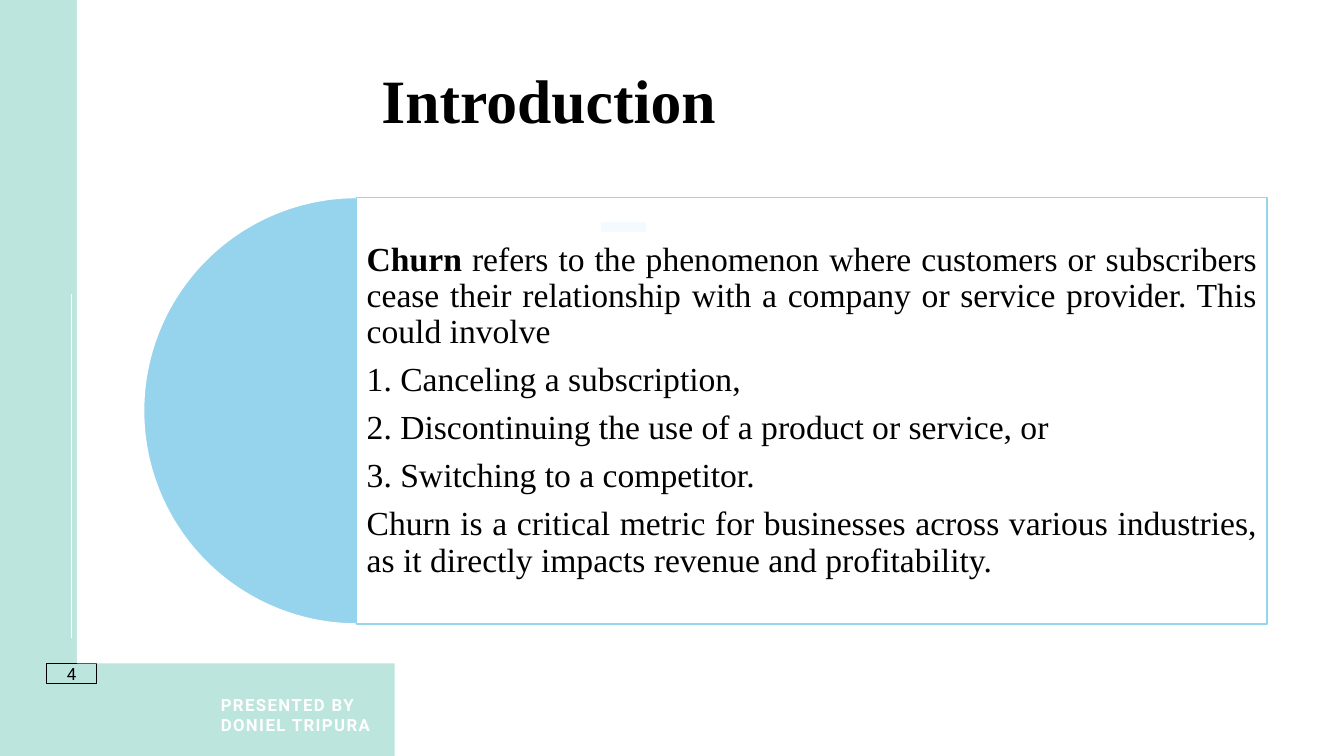
from lxml import etree
from pptx import Presentation
from pptx.dml.color import RGBColor
from pptx.enum.shapes import MSO_CONNECTOR, MSO_SHAPE
from pptx.enum.text import MSO_ANCHOR, MSO_AUTO_SIZE, PP_ALIGN
from pptx.oxml.ns import qn
from pptx.util import Pt

RECTANGLE, PIE = MSO_SHAPE.RECTANGLE, MSO_SHAPE.PIE
STRAIGHT = MSO_CONNECTOR.STRAIGHT
LEFT, CENTER, JUSTIFY = PP_ALIGN.LEFT, PP_ALIGN.CENTER, PP_ALIGN.JUSTIFY
TOP, MIDDLE = MSO_ANCHOR.TOP, MSO_ANCHOR.MIDDLE
NO_AUTOFIT = MSO_AUTO_SIZE.NONE

MINT = RGBColor(0xBC, 0xE5, 0xDD)
SKY = RGBColor(0x96, 0xD3, 0xED)
WHITE = RGBColor(0xFF, 0xFF, 0xFF)
BLACK = RGBColor(0x00, 0x00, 0x00)

SERIF, SANS = "Times New Roman", "Roboto"
TITLE_ONLY = 5

PANEL_LEFT, PANEL_TOP, PANEL_WIDTH, PANEL_HEIGHT = 254.9, 141.1, 650.2, 304.6

# Each paragraph is a list of (text, bold) spans.
CHURN_TEXT = [
    [("Churn", True),
     (" refers to the phenomenon where customers or subscribers cease their "
      "relationship with a company or service provider. This could involve ", False)],
    [("1. Canceling a subscription,", False)],
    [("2. Discontinuing the use of a product or service, or ", False)],
    [("3. Switching to a competitor.", False)],
    [("Churn is a critical metric for businesses across various industries, "
      "as it directly impacts revenue and profitability.", False)],
]


class SlideBuilder:
    def __init__(self, page):
        self.page = page
        page.background.fill.solid()
        page.background.fill.fore_color.rgb = MINT

    def shape(self, kind, left, top, width, height, fill=None, line=None, weight=1):
        shape = self.page.shapes.add_shape(kind, Pt(left), Pt(top), Pt(width), Pt(height))
        shape.shadow.inherit = False
        if fill is None:
            shape.fill.background()
        else:
            shape.fill.solid()
            shape.fill.fore_color.rgb = fill
        if line is None:
            shape.line.fill.background()
        else:
            shape.line.color.rgb = line
            shape.line.width = Pt(weight)
        return shape

    def rule(self, start, end, color, weight):
        rule = self.page.shapes.add_connector(STRAIGHT, *map(Pt, start + end))
        rule.line.color.rgb = color
        rule.line.width = Pt(weight)
        etree.SubElement(rule.element.spPr, qn("a:effectLst"))

    def text_box(self, left, top, width, height):
        return self.page.shapes.add_textbox(Pt(left), Pt(top), Pt(width), Pt(height))

    def set_text(self, box, paragraphs, font, size, color, align=LEFT, anchor=MIDDLE,
                 inset=0, tracking=0, line_spacing=None, space_after=0):
        """Fill a box with paragraphs of (text, bold) spans; tracking is in points."""
        frame = box.text_frame
        frame.word_wrap = True
        frame.auto_size = NO_AUTOFIT
        frame.vertical_anchor = anchor
        frame.margin_left = frame.margin_right = Pt(inset)
        frame.margin_top = frame.margin_bottom = Pt(inset)
        for index, spans in enumerate(paragraphs):
            para = frame.add_paragraph() if index else frame.paragraphs[0]
            para.alignment = align
            para.line_spacing = line_spacing
            para.space_after = Pt(space_after)
            para.font.name, para.font.size = font, Pt(size)
            para.font.color.rgb = color
            for text, bold in spans:
                span = para.add_run()
                span.text = text
                span.font.bold = bold
                if tracking:
                    span._r.get_or_add_rPr().set("spc", str(tracking * 100))

    def title(self, text, left, top, width, height):
        title = self.page.shapes.title
        title.left, title.top, title.width, title.height = map(Pt, (left, top, width, height))
        self.set_text(title, [[(text, True)]], SERIF, 44, BLACK, CENTER, TOP, inset=3.6)
        title.element.getparent().append(title.element)  # bring to front


def set_opacity(shape, percent):
    color = shape.element.spPr.find(qn("a:solidFill"))[0]
    etree.SubElement(color, qn("a:alpha")).set("val", str(percent * 1000))


def main():
    deck = Presentation()
    deck.slide_width, deck.slide_height = Pt(960), Pt(540)
    slide = SlideBuilder(deck.slides.add_slide(deck.slide_layouts[TITLE_ONLY]))

    slide.shape(RECTANGLE, 281.8, 0, 678.2, 540, fill=WHITE)
    slide.rule((51.1, 210.2), (51.1, 455.8), WHITE, 1)
    slide.rule((429, 162), (461.5, 162), SKY, 7)

    number = slide.shape(RECTANGLE, 33.1, 473.8, 36, 14.4, line=BLACK, weight=0.75)
    slide.set_text(number, [[("4", False)]], SANS, 12, BLACK, CENTER, tracking=2)
    presenter = slide.text_box(157.7, 503.3, 140.4, 15.1)
    slide.set_text(presenter, [[("PRESENTED BY DONIEL TRIPURA", True)]],
                   SANS, 12, WHITE, tracking=1)

    slide.shape(RECTANGLE, 55, 0, 258.5, 473.8, fill=WHITE)
    half_disc = slide.shape(PIE, PANEL_LEFT - PANEL_HEIGHT / 2, PANEL_TOP,
                            PANEL_HEIGHT, PANEL_HEIGHT, fill=SKY, line=WHITE)
    half_disc.adjustments[0], half_disc.adjustments[1] = 54, 162
    panel = slide.shape(RECTANGLE, PANEL_LEFT, PANEL_TOP, PANEL_WIDTH, PANEL_HEIGHT,
                        fill=WHITE, line=SKY)
    set_opacity(panel, 90)
    slide.set_text(panel, CHURN_TEXT, SERIF, 24, BLACK, JUSTIFY, inset=7.2,
                   line_spacing=0.9, space_after=8.4)

    slide.title("Introduction", 109.4, 40.3, 565.2, 60.5)
    deck.save("out.pptx")


if __name__ == "__main__":
    main()
